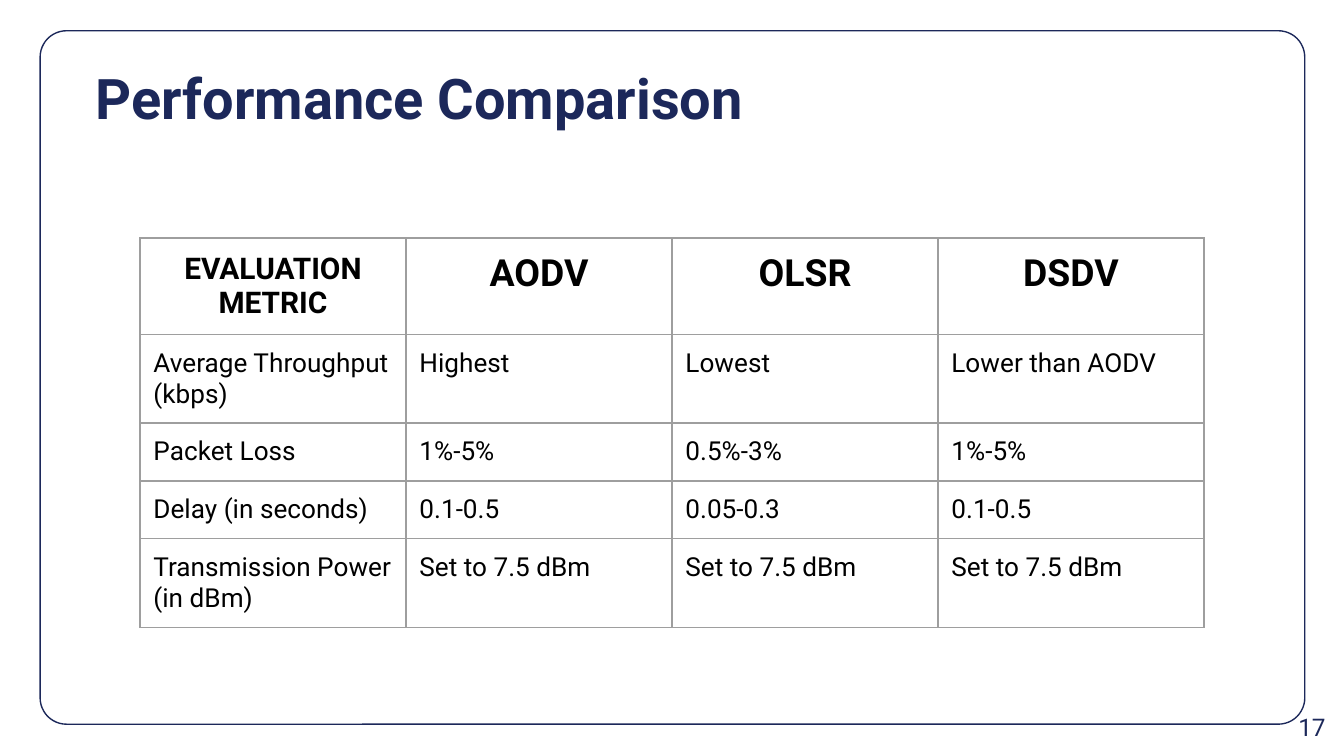
from lxml.etree import SubElement
from pptx import Presentation
from pptx.dml.color import RGBColor
from pptx.enum.shapes import MSO_SHAPE as Shape
from pptx.enum.text import MSO_ANCHOR as Anchor, MSO_AUTO_SIZE as AutoSize, PP_ALIGN as Align
from pptx.oxml.ns import qn
from pptx.util import Pt

COLORS = {"navy": "1C285A", "text": "000000", "border": "9E9E9E"}
FONT = "Roboto"
INSET = 7.2


def write_text(frame, text, size, color="text", bold=False, align=Align.LEFT,
               anchor=Anchor.TOP, top_inset=INSET):
    frame.word_wrap = True
    frame.auto_size = AutoSize.NONE
    frame.vertical_anchor = anchor
    frame.margin_left = frame.margin_right = frame.margin_bottom = Pt(INSET)
    frame.margin_top = Pt(top_inset)
    paragraph = frame.paragraphs[0]
    paragraph.alignment = align
    run = paragraph.add_run()
    run.text = text
    run.font.name = FONT
    run.font.size = Pt(size)
    run.font.bold = bold
    run.font.color.rgb = RGBColor.from_string(COLORS[color])


def set_borders(cell, color, width):
    properties = cell._tc.get_or_add_tcPr()
    for position, side in enumerate(("a:lnL", "a:lnR", "a:lnT", "a:lnB")):
        line = properties.makeelement(qn(side), {"w": str(Pt(width))})
        fill = SubElement(line, qn("a:solidFill"))
        SubElement(fill, qn("a:srgbClr"), {"val": COLORS[color]})
        properties.insert(position, line)


presentation = Presentation()
presentation.slide_width = Pt(720)
presentation.slide_height = Pt(405)
slide = presentation.slides.add_slide(presentation.slide_layouts[5])

# Rounded frame
frame = slide.shapes.add_shape(Shape.ROUNDED_RECTANGLE, Pt(21.5), Pt(16.5), Pt(677.5), Pt(371.5))
frame.adjustments[0] = 0.038
frame.shadow.inherit = False
frame.fill.background()
frame.line.color.rgb = RGBColor.from_string(COLORS["navy"])
frame.line.width = Pt(0.75)

# Title
title = slide.shapes.title
title.left, title.top, title.width, title.height = Pt(44), Pt(23.8), Pt(501), Pt(38)
write_text(title.text_frame, "Performance Comparison", 30, color="navy", bold=True, top_inset=10)

# Comparison table
ROWS = [
    ("EVALUATION METRIC", "AODV", "OLSR", "DSDV"),
    ("Average Throughput (kbps)", "Highest", "Lowest", "Lower than AODV"),
    ("Packet Loss", "1%-5%", "0.5%-3%", "1%-5%"),
    ("Delay (in seconds)", "0.1-0.5", "0.05-0.3", "0.1-0.5"),
    ("Transmission Power (in dBm)",) + ("Set to 7.5 dBm",) * 3,
]
ROW_HEIGHTS = [51.5, 47.2, 31, 31, 47.2]
COLUMN_WIDTH = 142.5

table = slide.shapes.add_table(
    len(ROWS), len(ROWS[0]), Pt(75), Pt(127.5),
    Pt(COLUMN_WIDTH * len(ROWS[0])), Pt(sum(ROW_HEIGHTS))).table
table.first_row = table.horz_banding = False
for column in table.columns:
    column.width = Pt(COLUMN_WIDTH)

for row_index, (texts, height) in enumerate(zip(ROWS, ROW_HEIGHTS)):
    table.rows[row_index].height = Pt(height)
    for column_index, text in enumerate(texts):
        cell = table.cell(row_index, column_index)
        cell.fill.background()
        set_borders(cell, "border", 0.75)
        cell.margin_left = cell.margin_right = Pt(INSET)
        cell.margin_top = cell.margin_bottom = Pt(INSET)
        header = row_index == 0
        size = 14 if not header else 16 if column_index == 0 else 20
        write_text(cell.text_frame, text, size, bold=header,
                   align=Align.CENTER if header else Align.LEFT)

# Slide number
number = slide.shapes.add_textbox(Pt(674), Pt(373.7), Pt(43.2), Pt(31))
write_text(number.text_frame, "17", 13, color="navy", align=Align.RIGHT, anchor=Anchor.MIDDLE)

presentation.save("out.pptx")
